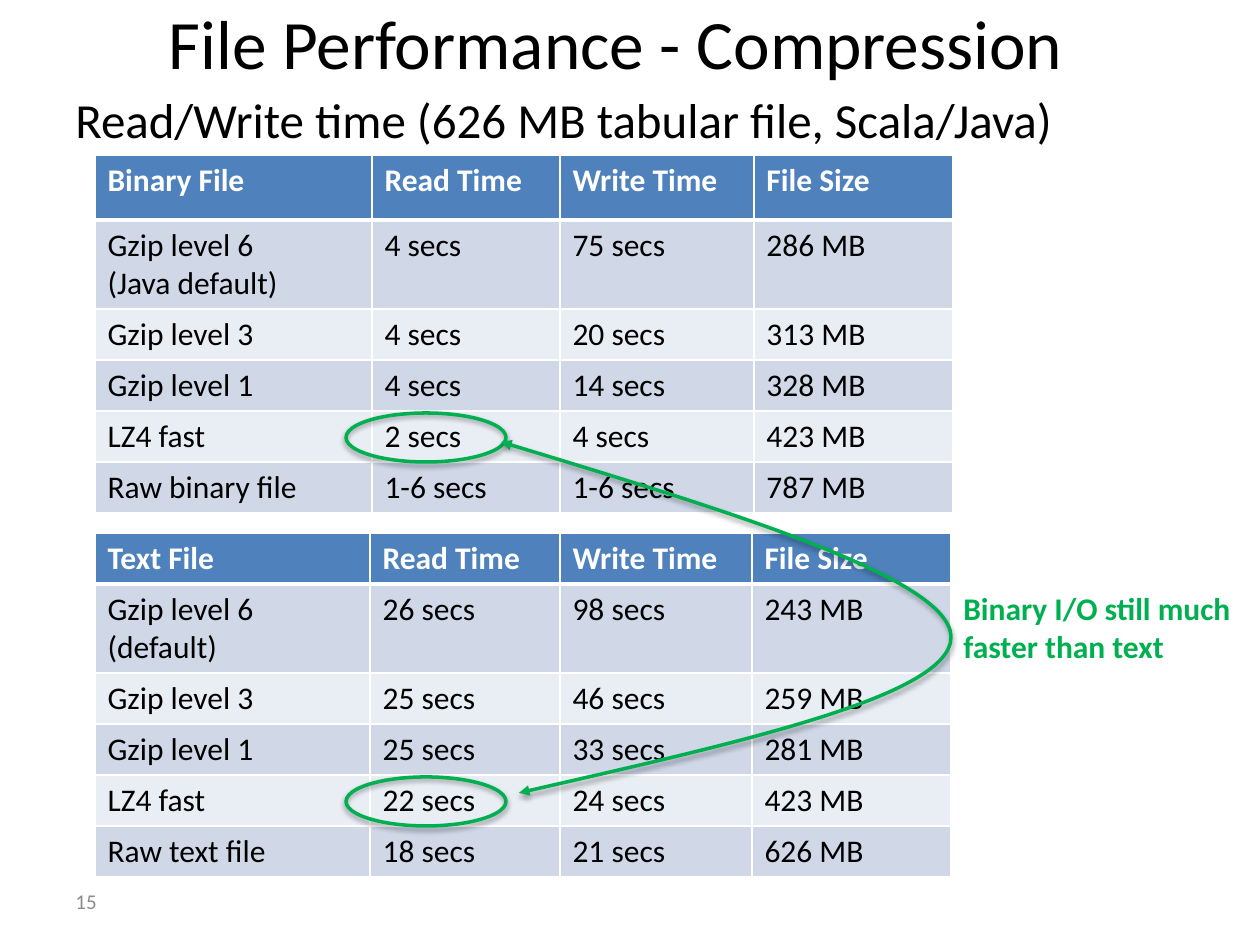
from lxml import etree
from pptx import Presentation
from pptx import util as u
from pptx.dml.color import RGBColor
from pptx.enum import shapes, text
from pptx.oxml import parse_xml
from pptx.oxml.ns import nsdecls, qn

PX = 914400 / 126
FONT = "Calibri"
COLORS = {
    "ink": "000000", "paper": "FFFFFF", "muted": "8C8C8C", "accent": "00B050",
    "header": "4F81BD", "band_dark": "D0D8E8", "band_light": "E9EDF4",
}
HEADINGS = ["Read Time", "Write Time", "File Size"]
BINARY_ROWS = [
    ["Binary File", *HEADINGS],
    ["Gzip level 6 \n(Java default)", "4 secs", "75 secs", "286 MB"],
    ["Gzip level 3", "4 secs", "20 secs", "313 MB"],
    ["Gzip level 1", "4 secs", "14 secs", "328 MB"],
    ["LZ4 fast", "2 secs", "4 secs", "423 MB"],
    ["Raw binary file", "1-6 secs", "1-6 secs", "787 MB"],
]
TEXT_ROWS = [
    ["Text File", *HEADINGS],
    ["Gzip level 6 (default)", "26 secs", "98 secs", "243 MB"],
    ["Gzip level 3", "25 secs", "46 secs", "259 MB"],
    ["Gzip level 1", "25 secs", "33 secs", "281 MB"],
    ["LZ4 fast", "22 secs", "24 secs", "423 MB"],
    ["Raw text file", "18 secs", "21 secs", "626 MB"],
]


def px(length):
    return u.Emu(round(length * PX))


def rgb(name):
    return RGBColor.from_string(COLORS[name])


def write(paragraph, words, size, color, bold=False):
    """Add one run per line of words, with line breaks between them."""
    for index, line in enumerate(words.split("\n")):
        if index:
            paragraph.add_line_break()
        run = paragraph.add_run()
        run.text = line
        run.font.name, run.font.size, run.font.bold = FONT, u.Pt(size), bold
        run.font.color.rgb = rgb(color)


def add_text(slide, box, words, size, color="ink", bold=False, wrap=True,
             align=text.PP_ALIGN.LEFT, anchor=text.MSO_ANCHOR.TOP):
    frame = slide.shapes.add_textbox(*map(px, box)).text_frame
    frame.word_wrap, frame.vertical_anchor = wrap, anchor
    frame.paragraphs[0].alignment = align
    write(frame.paragraphs[0], words, size, color, bold)


def set_borders(cell, **widths):
    """Give the cell white borders; widths maps L, R, T and B to points."""
    for side, points in widths.items():
        cell._tc.get_or_add_tcPr().append(parse_xml(
            f'<a:ln{side} {nsdecls("a")} w="{u.Pt(points)}"><a:solidFill>'
            f'<a:srgbClr val="{COLORS["paper"]}"/></a:solidFill></a:ln{side}>'))


def add_timings(slide, left, top, column_widths, header_height, rows):
    heights = [header_height, 89] + [51] * (len(rows) - 2)
    table = slide.shapes.add_table(
        len(rows), len(column_widths), px(left), px(top),
        px(sum(column_widths)), px(sum(heights))).table
    for column, width in zip(table.columns, column_widths):
        column.width = px(width)
    for r, (values, height) in enumerate(zip(rows, heights)):
        table.rows[r].height = px(height)
        is_header = r == 0
        band = "header" if is_header else "band_dark" if r % 2 else "band_light"
        for c, value in enumerate(values):
            cell = table.cell(r, c)
            set_borders(cell, L=1, R=1, T=3 if r == 1 else 1, B=3 if is_header else 1)
            cell.fill.solid()
            cell.fill.fore_color.rgb = rgb(band)
            write(cell.text_frame.paragraphs[0], value, 18,
                  "paper" if is_header else "ink", is_header)


def style_outline(shape):
    """Green unfilled outline with a soft shadow below it."""
    shape.fill.background()
    shape.line.color.rgb = rgb("accent")
    shape.line.width = u.Pt(2)
    shape.shadow.inherit = False
    shape._element.spPr.find(qn("a:effectLst")).append(parse_xml(
        f'<a:outerShdw {nsdecls("a")} blurRad="{u.Pt(3.1)}" dist="{u.Pt(1.8)}" '
        f'dir="5400000" rotWithShape="0"><a:srgbClr val="{COLORS["ink"]}">'
        '<a:alpha val="35000"/></a:srgbClr></a:outerShdw>'))


def add_highlight(slide, box):
    style_outline(slide.shapes.add_shape(shapes.MSO_SHAPE.OVAL, *map(px, box)))


def add_curved_arrow(slide, start, *points):
    """Two-headed Bezier curve; each three points are two controls and an end."""
    builder = slide.shapes.build_freeform(*start, scale=PX)
    builder.add_line_segments(points, close=False)
    curve = builder.convert_to_shape()
    style_outline(curve)
    outline = curve._element.spPr.find(qn("a:ln"))
    for end in ("a:headEnd", "a:tailEnd"):
        etree.SubElement(outline, qn(end), type="triangle")
    segments = list(curve._element.iter(qn("a:lnTo")))
    path_element = segments[0].getparent()
    for first in range(0, len(segments), 3):
        bezier = etree.SubElement(path_element, qn("a:cubicBezTo"))
        for segment in segments[first:first + 3]:
            bezier.append(segment[0])
            path_element.remove(segment)


def add_comparison(slide):
    """Link the two LZ4 read times and state the conclusion."""
    for top in (413, 777):
        add_highlight(slide, (346, top, 160, 49))
    add_text(slide, (951, 583, 302, 89), "Binary I/O still much \nfaster than text",
             18, "accent", bold=True, wrap=False)
    add_curved_arrow(slide, (519, 793), (737, 743), (954, 695), (951, 636),
                     (948, 578), (725, 510), (501, 442))


def main():
    deck = Presentation()
    deck.slide_width, deck.slide_height = px(1260), px(945)
    slide = deck.slides.add_slide(deck.slide_layouts[6])
    middle = text.MSO_ANCHOR.MIDDLE
    add_text(slide, (63, 876, 294, 50), "15", 12, "muted", anchor=middle)
    add_text(slide, (63, 0, 1106, 83), "File Performance - Compression", 39.6,
             align=text.PP_ALIGN.CENTER, anchor=middle)
    add_text(slide, (63, 83, 1134, 673),
             "Read/Write time (626 MB tabular file, Scala/Java)", 28)
    add_timings(slide, 95, 155, (277, 188, 194, 199), 65, BINARY_ROWS)
    add_timings(slide, 95, 533, (275, 190, 192, 199), 51, TEXT_ROWS)
    add_comparison(slide)
    deck.save("out.pptx")


if __name__ == "__main__":
    main()
